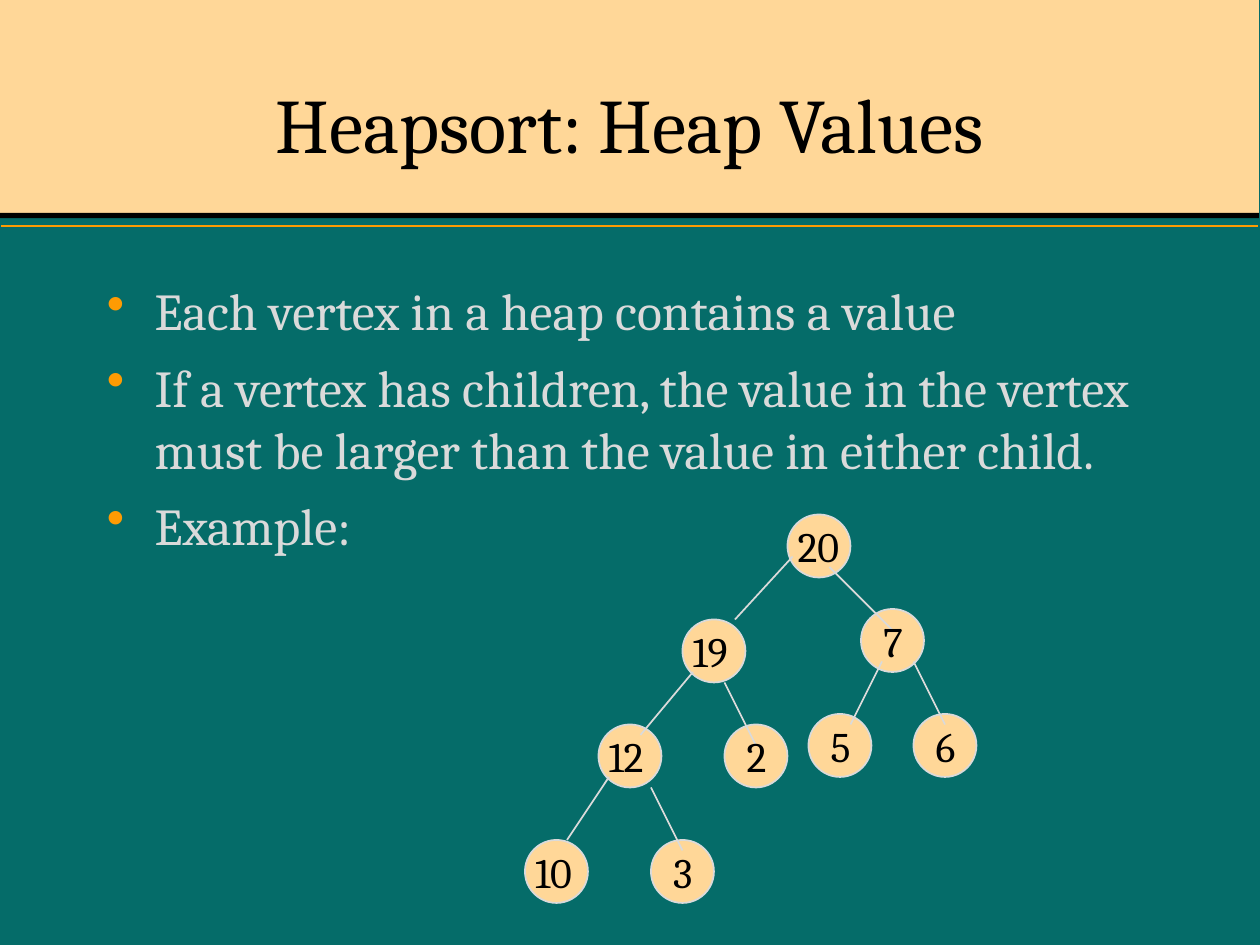
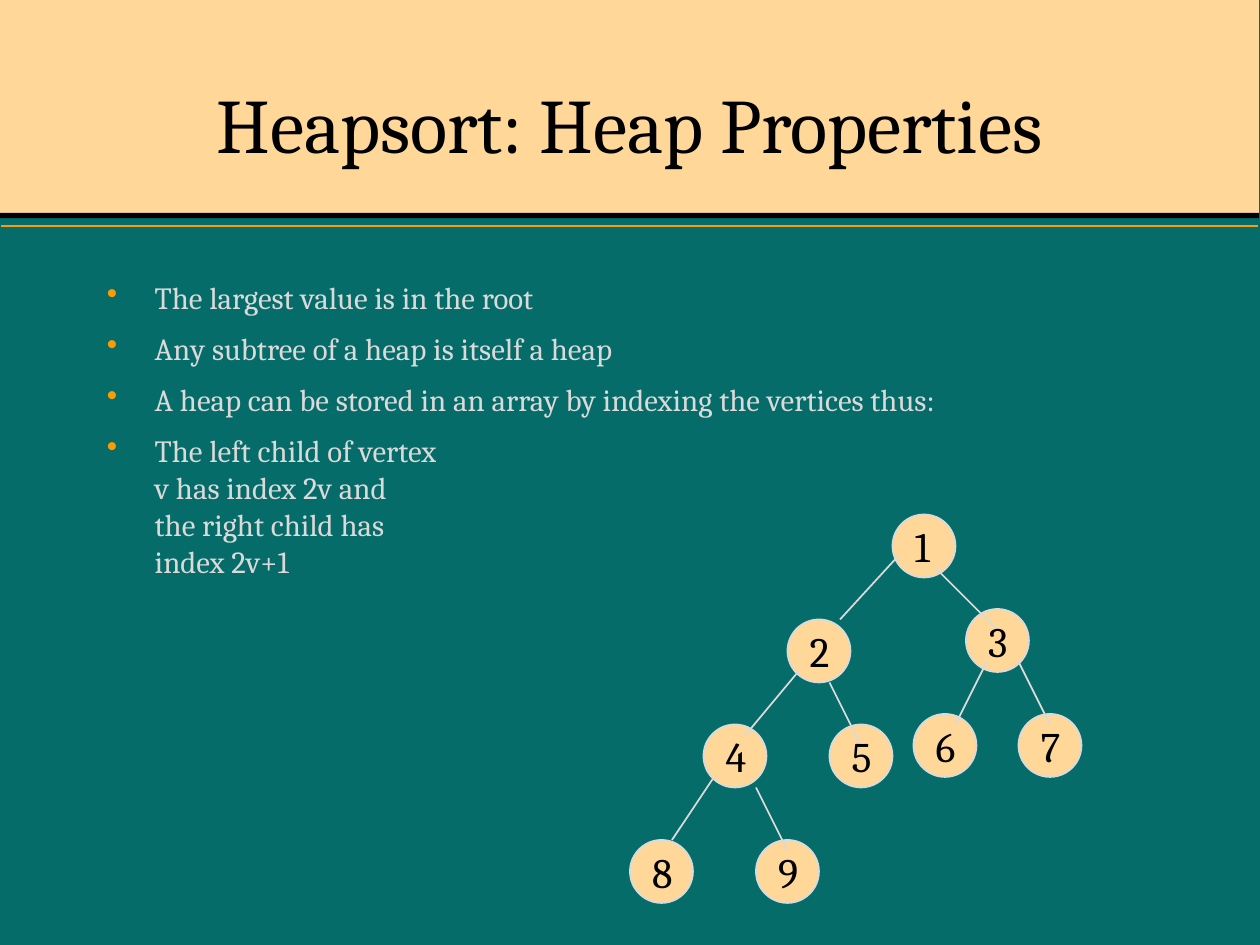
from dataclasses import dataclass

from lxml import etree
from pptx import Presentation
from pptx.dml.color import RGBColor
from pptx.enum import shapes, text
from pptx.oxml import ns
from pptx.util import Inches, Pt

COLUMNS, ROWS = 120, 90
NODE_SIZE = 6
LABEL_CENTRE = 3.2
DIGIT_WIDTH = 2.28

NODE_OFFSETS = [
    (0, 0), (-10, 10), (7, 9), (-18, 20), (-6, 20),
    (2, 19), (12, 19), (-25, 31), (-13, 31),
]
EDGES = [
    ((0.5, 4), (-5, 10)), ((4, 5), (10, 11)),
    ((-9, 15), (-14, 21)), ((-6, 16), (-3, 22)),
    ((9, 14), (6, 20)), ((12, 14), (15, 20)),
    ((-17, 25), (-21, 31)), ((-13, 26), (-10, 32)),
]


@dataclass(frozen=True)
class Theme:
    background: str = "056C69"
    sand: str = "FFD798"
    ink: str = "000000"
    accent: str = "FE9B03"
    pale: str = "DADADA"
    font: str = "Cambria"
    title_size: float = 44
    label_size: float = 24
    line_width: float = 1
    bullet_gap: float = 8
    bullet_indent: float = 0.38


class Deck:
    def __init__(self, theme):
        self.theme = theme
        self.presentation = Presentation()
        self.presentation.slide_width = Inches(10)
        self.presentation.slide_height = Inches(7.5)
        self.slide = None

    def across(self, columns):
        return round(self.presentation.slide_width * columns / COLUMNS)

    def down(self, rows):
        return round(self.presentation.slide_height * rows / ROWS)

    def box(self, left, top, width, height):
        return self.across(left), self.down(top), self.across(width), self.down(height)

    def new_slide(self, title):
        layout = self.presentation.slide_layouts[6]
        self.slide = self.presentation.slides.add_slide(layout)
        fill = self.slide.background.fill
        fill.solid()
        fill.fore_color.rgb = RGBColor.from_string(self.theme.background)
        band = shapes.MSO_SHAPE.RECTANGLE
        self.shape(band, (0, 0, 119.9, 20.28), self.theme.sand)
        self.shape(band, (0, 20.28, 119.9, 0.5), self.theme.ink)
        self.line((0.1, 21.5), (119.8, 21.5), self.theme.accent)
        frame = self.text_box((9, 4.4, 102, 14.5), title)
        frame.vertical_anchor = text.MSO_ANCHOR.MIDDLE
        frame.paragraphs[0].alignment = text.PP_ALIGN.CENTER
        self.format_runs(frame.paragraphs[0], self.theme.title_size, self.theme.ink)

    def shape(self, kind, place, fill, outline=None):
        shape = self.slide.shapes.add_shape(kind, *self.box(*place))
        shape.shadow.inherit = False
        shape.fill.solid()
        shape.fill.fore_color.rgb = RGBColor.from_string(fill)
        if outline:
            self.stroke(shape.line, outline)
        else:
            shape.line.fill.background()

    def stroke(self, line, color):
        line.color.rgb = RGBColor.from_string(color)
        line.width = Pt(self.theme.line_width)

    def line(self, start, end, color):
        connector = self.slide.shapes.add_connector(
            shapes.MSO_CONNECTOR.STRAIGHT,
            self.across(start[0]), self.down(start[1]),
            self.across(end[0]), self.down(end[1]),
        )
        self.stroke(connector.line, color)
        properties = connector._element.find(ns.qn("p:spPr"))
        etree.SubElement(properties, ns.qn("a:effectLst"))

    def text_box(self, place, content):
        frame = self.slide.shapes.add_textbox(*self.box(*place)).text_frame
        frame.word_wrap = True
        frame.text = content
        return frame

    def format_runs(self, paragraph, size, color):
        for run in paragraph.runs:
            run.font.name = self.theme.font
            run.font.size = Pt(size)
            run.font.color.rgb = RGBColor.from_string(color)

    def bullets(self, items, size, height):
        frame = self.text_box((9, 26, 102, height), "\n".join(items))
        for index, paragraph in enumerate(frame.paragraphs):
            self.add_bullet(paragraph)
            if index:
                paragraph.space_before = Pt(self.theme.bullet_gap)
            self.format_runs(paragraph, size, self.theme.pale)

    def add_bullet(self, paragraph):
        properties = paragraph._p.get_or_add_pPr()
        indent = Inches(self.theme.bullet_indent)
        properties.set("marL", str(indent))
        properties.set("indent", str(-indent))
        color = etree.SubElement(properties, ns.qn("a:buClr"))
        etree.SubElement(color, ns.qn("a:srgbClr"), val=self.theme.accent)
        etree.SubElement(properties, ns.qn("a:buChar"), char="•")

    def node_label(self, left, top, value):
        width = DIGIT_WIDTH * (len(value) + 1)
        place = (left + LABEL_CENTRE - width / 2, top, width, NODE_SIZE)
        frame = self.text_box(place, value)
        frame.word_wrap = False
        frame.auto_size = text.MSO_AUTO_SIZE.SHAPE_TO_FIT_TEXT
        self.format_runs(frame.paragraphs[0], self.theme.label_size, self.theme.ink)

    def heap(self, root_left, root_top, values):
        def placed(offset):
            return root_left + offset[0], root_top + offset[1]

        for offset in NODE_OFFSETS:
            place = (*placed(offset), NODE_SIZE, NODE_SIZE)
            self.shape(shapes.MSO_SHAPE.OVAL, place, self.theme.sand, self.theme.pale)
        for start, end in EDGES:
            self.line(placed(start), placed(end), self.theme.pale)
        for offset, value in zip(NODE_OFFSETS, values):
            self.node_label(*placed(offset), str(value))


def main():
    deck = Deck(Theme())

    deck.new_slide("Heapsort: Heap Values")
    deck.bullets([
        "Each vertex in a heap contains a value",
        "If a vertex has children, the value in the vertex "
        "must be larger than the value in either child.",
        "Example:",
    ], size=29.6, height=37)
    deck.heap(75, 49, [20, 19, 7, 12, 2, 5, 6, 10, 3])

    deck.new_slide("Heapsort: Heap Properties")
    deck.bullets([
        "The largest value is in the root",
        "Any subtree of a heap is itself a heap",
        "A heap can be stored in an array by indexing the vertices thus:",
        "The left child of vertex\vv has index 2v and\v"
        "the right child has\vindex 2v+1",
    ], size=17.6, height=30)
    deck.heap(85, 49, range(1, 10))

    deck.presentation.save("out.pptx")


if __name__ == "__main__":
    main()
